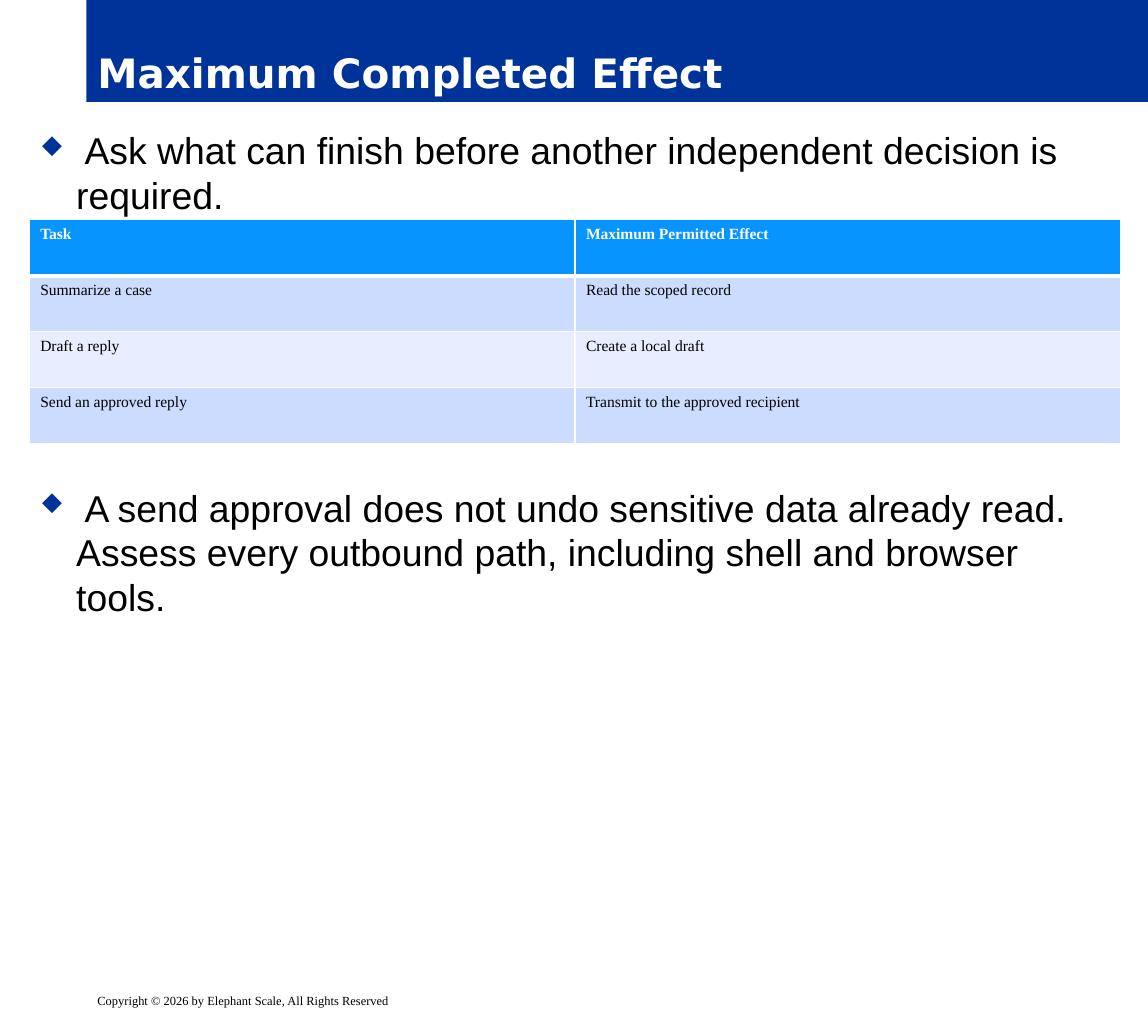
from lxml import etree
from pptx import Presentation
from pptx.dml.color import RGBColor
from pptx.enum.shapes import MSO_SHAPE
from pptx.enum.text import MSO_ANCHOR, PP_ALIGN
from pptx.oxml.ns import qn
from pptx.util import Cm, Pt

RECTANGLE = MSO_SHAPE.RECTANGLE
BOTTOM = MSO_ANCHOR.BOTTOM
LEFT = PP_ALIGN.LEFT

COLORS = {
    "navy": "003399",
    "white": "FFFFFF",
    "black": "000000",
    "header": "0794FF",
    "odd_row": "CCDCFF",
    "even_row": "E7EEFF",
}
BULLETS = [
    (" Ask what can finish before another independent decision is required.", 0),
    (" A send approval does not undo sensitive data already read. "
     "Assess every outbound path, including shell and browser tools.", 172),
]
ROWS = [
    ("Task", "Maximum Permitted Effect"),
    ("Summarize a case", "Read the scoped record"),
    ("Draft a reply", "Create a local draft"),
    ("Send an approved reply", "Transmit to the approved recipient"),
]


def format_text(paragraph, font_name, size, color, bold=False):
    font = paragraph.runs[0].font
    font.name = font_name
    font.size = Pt(size)
    font.bold = bold
    font.color.rgb = RGBColor.from_string(COLORS[color])


def add_border(cell, side, width):
    """Draw a white line on one side of a cell: lnL, lnR, lnT or lnB."""
    properties = cell._tc.get_or_add_tcPr()
    line = etree.SubElement(properties, qn(f"a:{side}"), w=str(Pt(width)))
    fill = etree.SubElement(line, qn("a:solidFill"))
    etree.SubElement(fill, qn("a:srgbClr"), val=COLORS["white"])


presentation = Presentation()
presentation.slide_width = Cm(26.04)
presentation.slide_height = Cm(23.04)
slide = presentation.slides.add_slide(presentation.slide_layouts[6])

# Title band
title = slide.shapes.add_shape(RECTANGLE, Cm(1.96), Cm(0), Cm(24.08), Cm(2.31))
title.shadow.inherit = False
title.fill.solid()
title.fill.fore_color.rgb = RGBColor.from_string(COLORS["navy"])
title.line.fill.background()
title.text_frame.text = "Maximum Completed Effect"
title.text_frame.vertical_anchor = BOTTOM
title.text_frame.paragraphs[0].alignment = LEFT
format_text(title.text_frame.paragraphs[0], "DejaVu Sans", 26, "white", True)

# Bullets, with room for the table between them
body = slide.shapes.add_textbox(Cm(0.66), Cm(2.77), Cm(24.74), Cm(18.97))
body.text_frame.word_wrap = True
body.text_frame.text = "\n".join(text for text, _ in BULLETS)
for paragraph, (_, space_before) in zip(body.text_frame.paragraphs, BULLETS):
    properties = paragraph._p.get_or_add_pPr()
    properties.set("marL", str(Cm(0.82)))
    properties.set("indent", str(-Cm(0.82)))
    bullet_color = etree.SubElement(properties, qn("a:buClr"))
    etree.SubElement(bullet_color, qn("a:srgbClr"), val=COLORS["navy"])
    etree.SubElement(properties, qn("a:buSzPct"), val="65000")
    # In Wingdings the letter u is a filled diamond
    etree.SubElement(properties, qn("a:buFont"), typeface="Wingdings", charset="2")
    etree.SubElement(properties, qn("a:buChar"), char="u")
    paragraph.space_before = Pt(space_before)
    format_text(paragraph, "Arial", 24, "black")

# Task table
table = slide.shapes.add_table(
    len(ROWS), 2, Cm(0.66), Cm(4.98), Cm(24.76), Cm(5.08)).table
for row_index, row in enumerate(ROWS):
    is_header = row_index == 0
    if is_header:
        fill_color = "header"
    else:
        fill_color = "odd_row" if row_index % 2 else "even_row"
    for column_index, text in enumerate(row):
        cell = table.cell(row_index, column_index)
        cell.text = text
        format_text(cell.text_frame.paragraphs[0], "Times New Roman", 10,
                    "white" if is_header else "black", is_header)
        for side in ("lnL", "lnR", "lnT", "lnB"):
            at_header_edge = (row_index, side) in ((0, "lnB"), (1, "lnT"))
            add_border(cell, side, 3 if at_header_edge else 1)
        cell.fill.solid()
        cell.fill.fore_color.rgb = RGBColor.from_string(COLORS[fill_color])

# Footer
footer = slide.shapes.add_textbox(Cm(1.96), Cm(22.4), Cm(24.08), Cm(0.64))
footer.text_frame.word_wrap = True
footer.text_frame.text = "Copyright © 2026 by Elephant Scale, All Rights Reserved"
format_text(footer.text_frame.paragraphs[0], "Times New Roman", 8, "black")

presentation.save("out.pptx")
